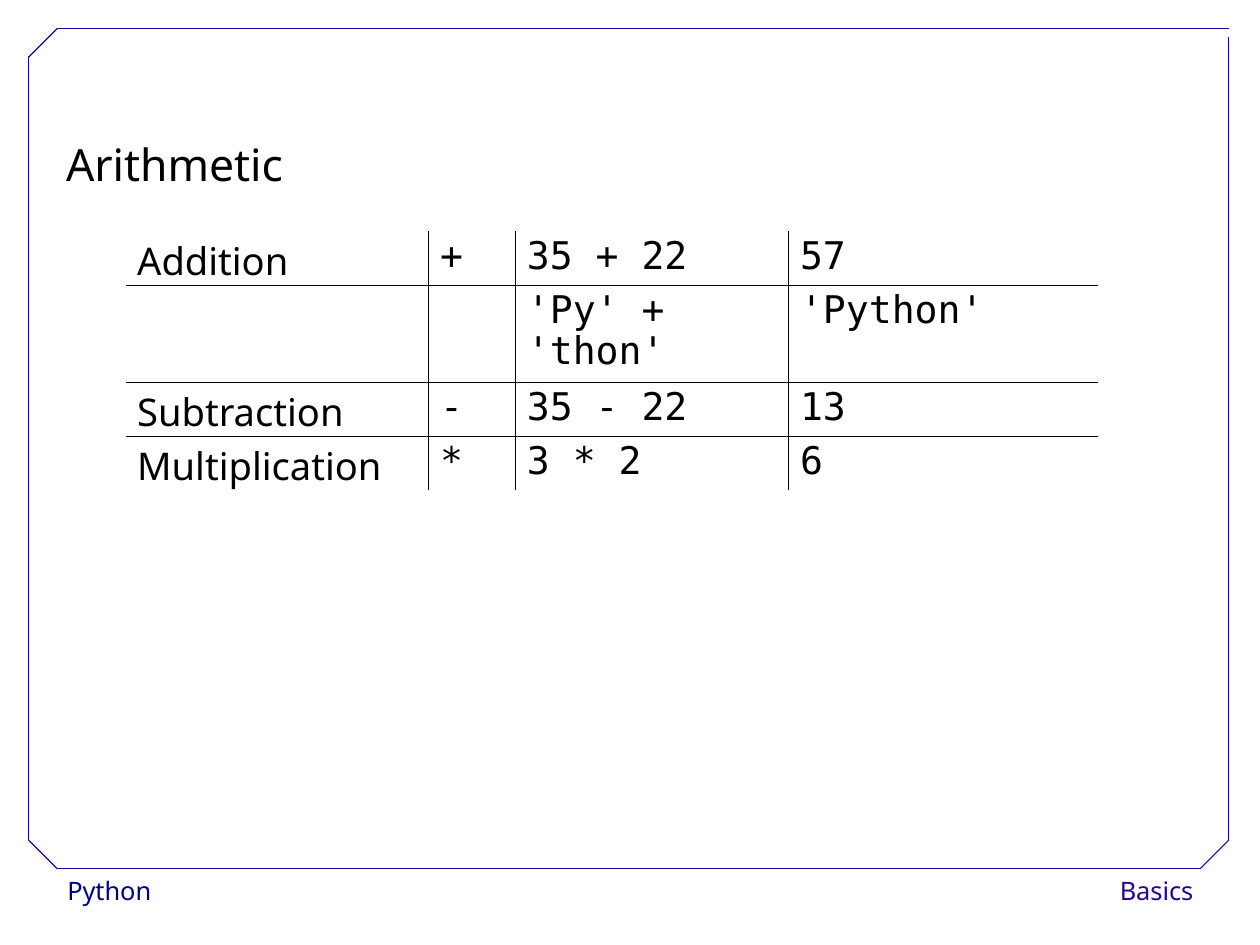
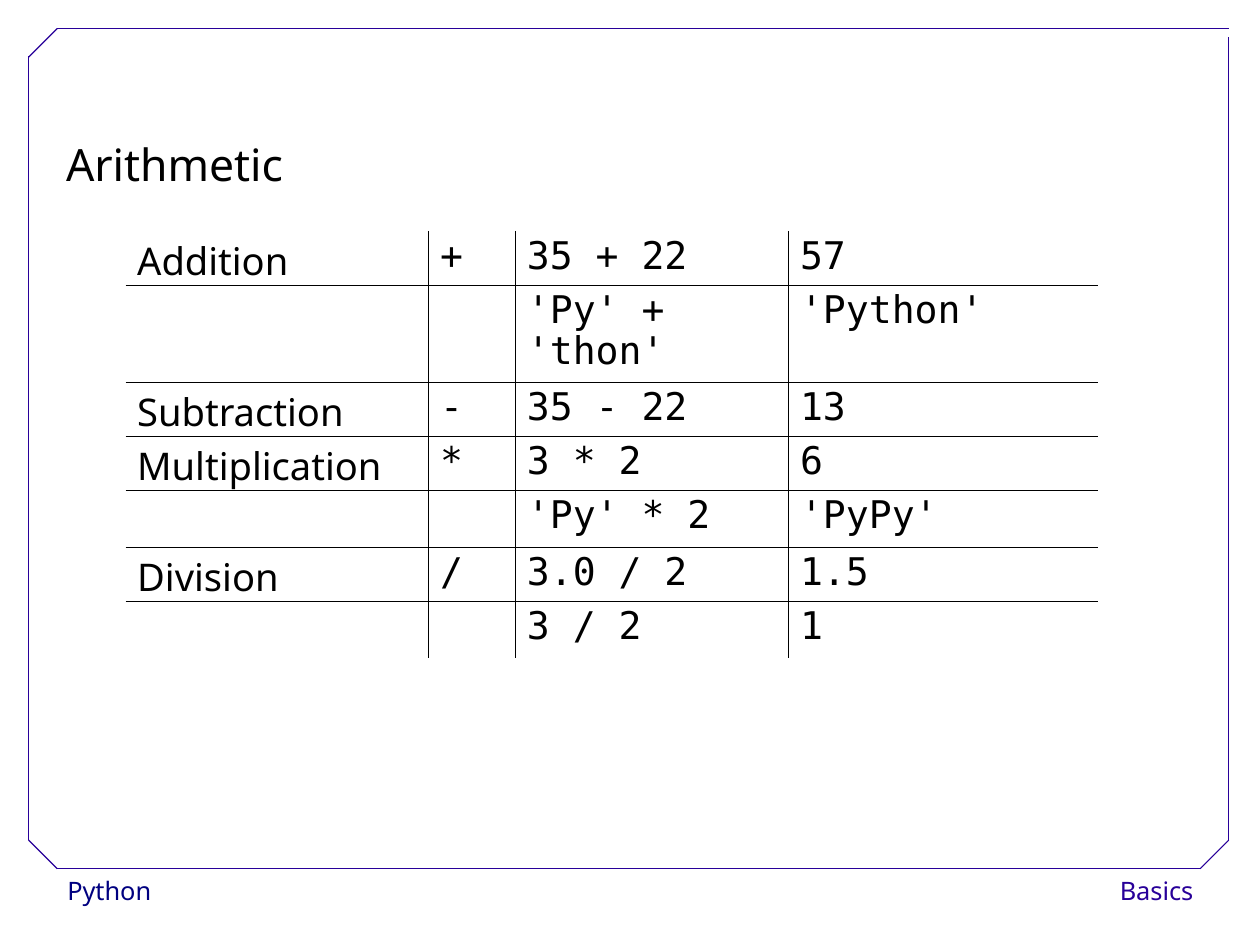
"""Build two slides on Python arithmetic that share one frame, title and footer."""
from lxml.etree import SubElement
from pptx import Presentation
from pptx.dml.color import RGBColor
from pptx.enum.shapes import MSO_CONNECTOR, MSO_SHAPE
from pptx.enum.text import MSO_ANCHOR, PP_ALIGN
from pptx.oxml.ns import qn
from pptx.util import Cm, Inches, Pt

BLACK, WHITE, NAVY, INDIGO = "000000", "FFFFFF", "000080", "280099"
SANS, MONO = "Noto Sans", "DejaVu Sans Mono"
TABLE_LEFT, TABLE_TOP = 1.1, 2.02
COLUMN_WIDTHS = [2.65, 0.76, 2.39, 2.71]

FRAME_LINES = [
    (0.5, 7.6, 10.5, 7.6),
    (0.25, 7.35, 0.25, 0.49),
    (0.5, 0.25, 10.75, 0.25),
    (10.75, 7.35, 10.75, 0.32),
    (0.25, 0.5, 0.5, 0.25),
    (10.5, 7.6, 10.75, 7.35),
    (0.25, 7.35, 0.5, 7.6),
]
FOOTERS = [
    ("Python", 0.49, 2.15, PP_ALIGN.LEFT, NAVY),
    ("Basics", 9.14, 1.4, PP_ALIGN.RIGHT, INDIGO),
]
OPERATIONS = [
    (0.47, "Addition", "+", "35 + 22", "57"),
    (0.85, "", "", "'Py' + 'thon'", "'Python'"),
    (0.47, "Subtraction", "-", "35 - 22", "13"),
    (0.47, "Multiplication", "*", "3 * 2", "6"),
    (0.5, "", "", "'Py' * 2", "'PyPy'"),
    (0.47, "Division", "/", "3.0 / 2", "1.5"),
    (0.5, "", "", "3 / 2", "1"),
]


def write(paragraph, text, size, font_name, color, spacing):
    paragraph.text = text
    paragraph.line_spacing = spacing
    paragraph.font.size = Pt(size)
    paragraph.font.name = font_name
    paragraph.font.color.rgb = RGBColor.from_string(color)


def set_border(cell, side, visible):
    border = SubElement(cell._tc.get_or_add_tcPr(), qn(f"a:ln{side}"), w=str(Pt(0.45)))
    if visible:
        fill = SubElement(border, qn("a:solidFill"))
        SubElement(fill, qn("a:srgbClr"), val=BLACK)
    else:
        SubElement(border, qn("a:noFill"))


prs = Presentation()
prs.slide_width, prs.slide_height = Cm(28), Cm(21)

for operations in (OPERATIONS[:4], OPERATIONS):
    slide = prs.slides.add_slide(prs.slide_layouts[6])

    for text, left, width, alignment, color in FOOTERS:
        footer = slide.shapes.add_shape(
            MSO_SHAPE.RECTANGLE, Inches(left), Inches(7.6), Inches(width), Inches(0.4))
        footer.shadow.inherit = False
        footer.fill.solid()
        footer.fill.fore_color.rgb = RGBColor.from_string(WHITE)
        footer.line.fill.background()
        footer.text_frame.vertical_anchor = MSO_ANCHOR.TOP
        label = footer.text_frame.paragraphs[0]
        label.alignment = alignment
        write(label, text, 16, SANS, color, 1.02)

    for ends in FRAME_LINES:
        edge = slide.shapes.add_connector(MSO_CONNECTOR.STRAIGHT, *map(Inches, ends))
        edge.line.color.rgb = RGBColor.from_string(INDIGO)
        edge.line.width = Pt(0.75)
        SubElement(edge._element.spPr, qn("a:effectLst"))

    title = slide.shapes.add_textbox(Inches(0.48), Inches(0.92), Inches(3.1), Inches(0.8))
    title.text_frame.word_wrap = True
    write(title.text_frame.paragraphs[0], "Arithmetic", 28, SANS, BLACK, 1.5)

    last_row, last_column = len(operations) - 1, len(COLUMN_WIDTHS) - 1
    table = slide.shapes.add_table(
        len(operations), len(COLUMN_WIDTHS), Inches(TABLE_LEFT), Inches(TABLE_TOP),
        Inches(sum(COLUMN_WIDTHS)), Inches(sum(row[0] for row in operations))).table
    table.first_row = table.horz_banding = False
    for column, width in zip(table.columns, COLUMN_WIDTHS):
        column.width = Inches(width)
    for r, (height, *texts) in enumerate(operations):
        table.rows[r].height = Inches(height)
        for c, text in enumerate(texts):
            cell = table.cell(r, c)
            entry = cell.text_frame.paragraphs[0]
            write(entry, text, 24, MONO if c else SANS, BLACK, 0.93)
            entry.space_after = Pt(14.3)
            set_border(cell, "L", c > 0)
            set_border(cell, "R", c < last_column)
            set_border(cell, "T", r > 0)
            set_border(cell, "B", r < last_row)
            cell.fill.background()

prs.save("out.pptx")
